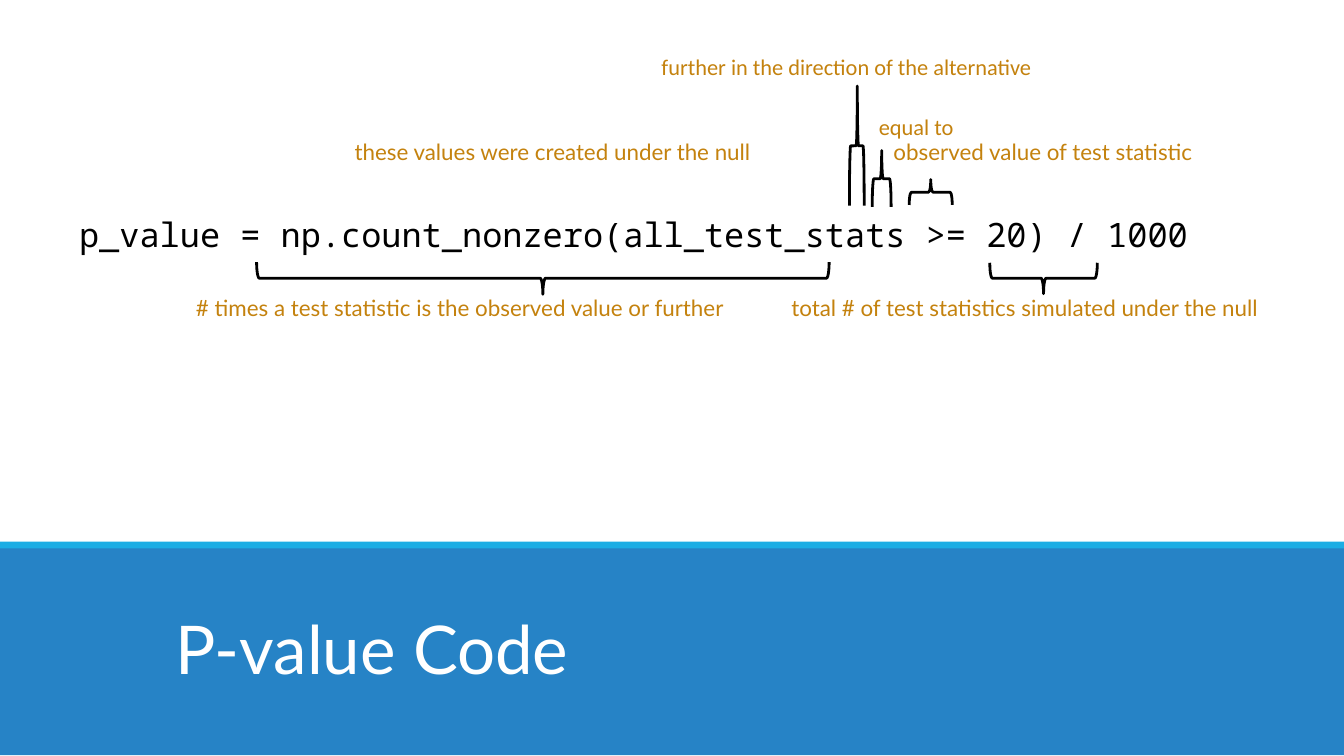
"""Build the slide that explains each part of the p-value code."""
from dataclasses import dataclass

from pptx import Presentation
from pptx.dml.color import RGBColor
from pptx.enum.shapes import MSO_SHAPE as Shape
from pptx.enum.text import MSO_ANCHOR as Anchor, MSO_AUTO_SIZE as AutoSize, PP_ALIGN as Align
from pptx.util import Inches, Pt


@dataclass(frozen=True)
class Theme:
    band: str = "2683C6"
    stripe: str = "1CADE4"
    note: str = "C4820E"
    code: str = "000000"
    title: str = "FFFFFF"
    body_font: str = "Lato"
    label_font: str = "Calibri"
    code_font: str = "Noto Sans Mono"
    note_size: float = 12
    code_size: float = 18
    title_size: float = 36
    line: float = 1.5


@dataclass(frozen=True)
class Brace:
    left: float
    top: float
    width: float
    height: float
    rotation: int
    tip: float = 0.5


@dataclass(frozen=True)
class Label:
    text: str
    left: float
    top: float
    width: float
    font: str
    align: Align = Align.LEFT


THEME = Theme()
UP, DOWN = 90, 270
UPPER_ROW, LOWER_ROW = 0.97, 2.13
LABEL_HEIGHT = 0.31

BRACES = (
    Brace(3.92, -0.06, 0.24, 4.26, DOWN),
    Brace(7.65, 1.67, 0.23, 0.8, DOWN),
    Brace(6.83, 1.27, 0.19, 0.32, UP),
    Brace(5.93, 1.03, 0.89, 0.11, UP, 0.467),
    Brace(6.35, 1.26, 0.42, 0.14, UP),
)

LABELS = (
    Label("further in the direction of the alternative", 4.51, 0.34, 3.58,
          THEME.label_font, Align.CENTER),
    Label("equal to", 6.44, 0.79, 0.98, THEME.label_font),
    Label("these values were created under the null", 2.54, UPPER_ROW, 3.4, THEME.body_font),
    Label("observed value of test statistic", 6.55, UPPER_ROW, 2.8, THEME.body_font),
    Label("# times a test statistic is the observed value or further", 1.36, LOWER_ROW, 4.4,
          THEME.body_font),
    Label("total # of test statistics simulated under the null", 5.79, LOWER_ROW, 4,
          THEME.body_font),
)


def place(shape, left: float, top: float, width: float, height: float) -> None:
    shape.left, shape.top = Inches(left), Inches(top)
    shape.width, shape.height = Inches(width), Inches(height)


def write(box, text: str, *, font: str, size: float, color: str, align: Align = Align.LEFT,
          anchor: Anchor = Anchor.MIDDLE, spacing: float = 1.0, inset: float = 0) -> None:
    frame = box.text_frame
    frame.word_wrap = True
    frame.auto_size = AutoSize.NONE
    frame.vertical_anchor = anchor
    frame.margin_left = frame.margin_right = Inches(0.1)
    frame.margin_top = frame.margin_bottom = Inches(inset)
    para = frame.paragraphs[0]
    para.alignment = align
    para.line_spacing = spacing
    span = para.add_run()
    span.text = text
    span.font.name = font
    span.font.size = Pt(size)
    span.font.color.rgb = RGBColor.from_string(color)


def add_band(page, top: float, height: float, color: str) -> None:
    band = page.shapes.add_shape(Shape.RECTANGLE, 0, Inches(top), Inches(10), Inches(height))
    band.shadow.inherit = False
    band.fill.solid()
    band.fill.fore_color.rgb = RGBColor.from_string(color)
    band.line.fill.background()


def add_brace(page, brace: Brace) -> None:
    shape = page.shapes.add_shape(Shape.LEFT_BRACE, 0, 0, 0, 0)
    place(shape, brace.left, brace.top, brace.width, brace.height)
    shape.rotation = brace.rotation
    shape.adjustments[0] = 0.083
    shape.adjustments[1] = brace.tip
    shape.shadow.inherit = False
    shape.fill.background()
    shape.line.color.rgb = RGBColor.from_string(THEME.code)
    shape.line.width = Pt(THEME.line)


def add_label(page, label: Label) -> None:
    box = page.shapes.add_textbox(0, 0, 0, 0)
    place(box, label.left, label.top, label.width, LABEL_HEIGHT)
    write(box, label.text, font=label.font, size=THEME.note_size, color=THEME.note,
          align=label.align)


def add_code(page) -> None:
    box = page.shapes.add_textbox(0, 0, 0, 0)
    place(box, 0.49, 1.45, 8.87, 0.58)
    write(box, "p_value = np.count_nonzero(all_test_stats >= 20) / 1000",
          font=THEME.code_font, size=THEME.code_size, color=THEME.code,
          anchor=Anchor.TOP, spacing=1.15, inset=0.1)


def add_title(page) -> None:
    title = page.shapes.title
    title.element.getparent().append(title.element)
    place(title, 1.11, 4.59, 3.32, 0.58)
    write(title, "P-value Code", font=THEME.body_font, size=THEME.title_size,
          color=THEME.title, align=Align.CENTER, anchor=Anchor.BOTTOM, inset=0.05)


def main() -> None:
    deck = Presentation()
    deck.slide_width = Inches(10)
    deck.slide_height = deck.slide_width * 9 // 16
    page = deck.slides.add_slide(deck.slide_layouts.get_by_name("Title Only"))
    add_band(page, 4.06, 1.56, THEME.band)
    add_band(page, 4.03, 0.05, THEME.stripe)
    for brace in BRACES:
        add_brace(page, brace)
    for label in LABELS:
        add_label(page, label)
    add_code(page)
    add_title(page)
    deck.save("out.pptx")


if __name__ == "__main__":
    main()
